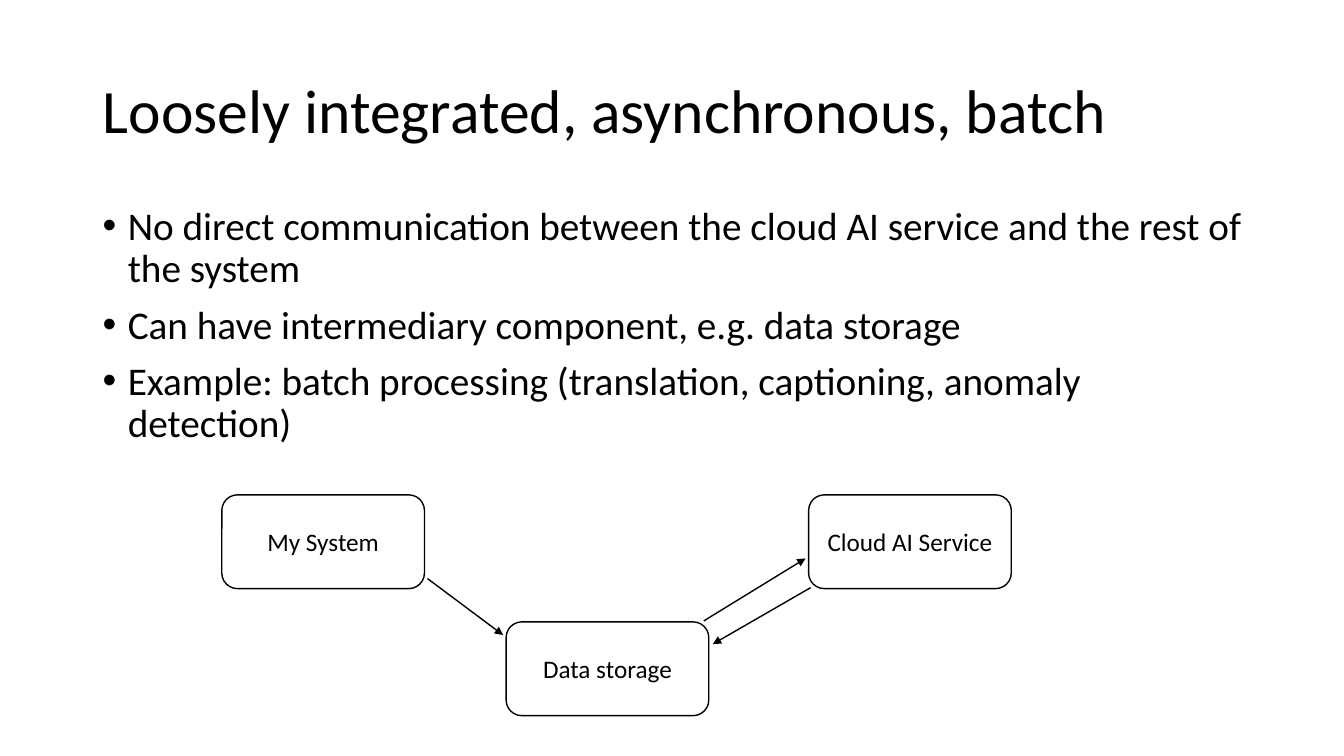
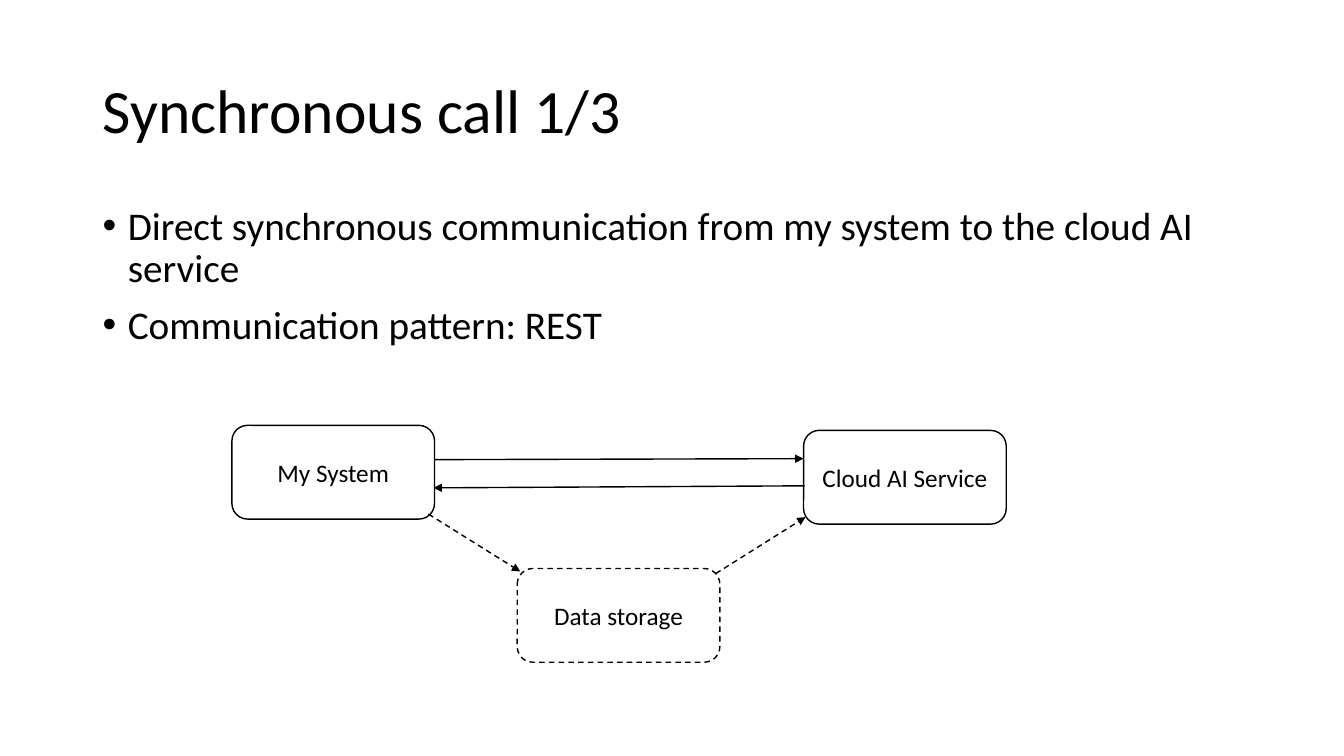
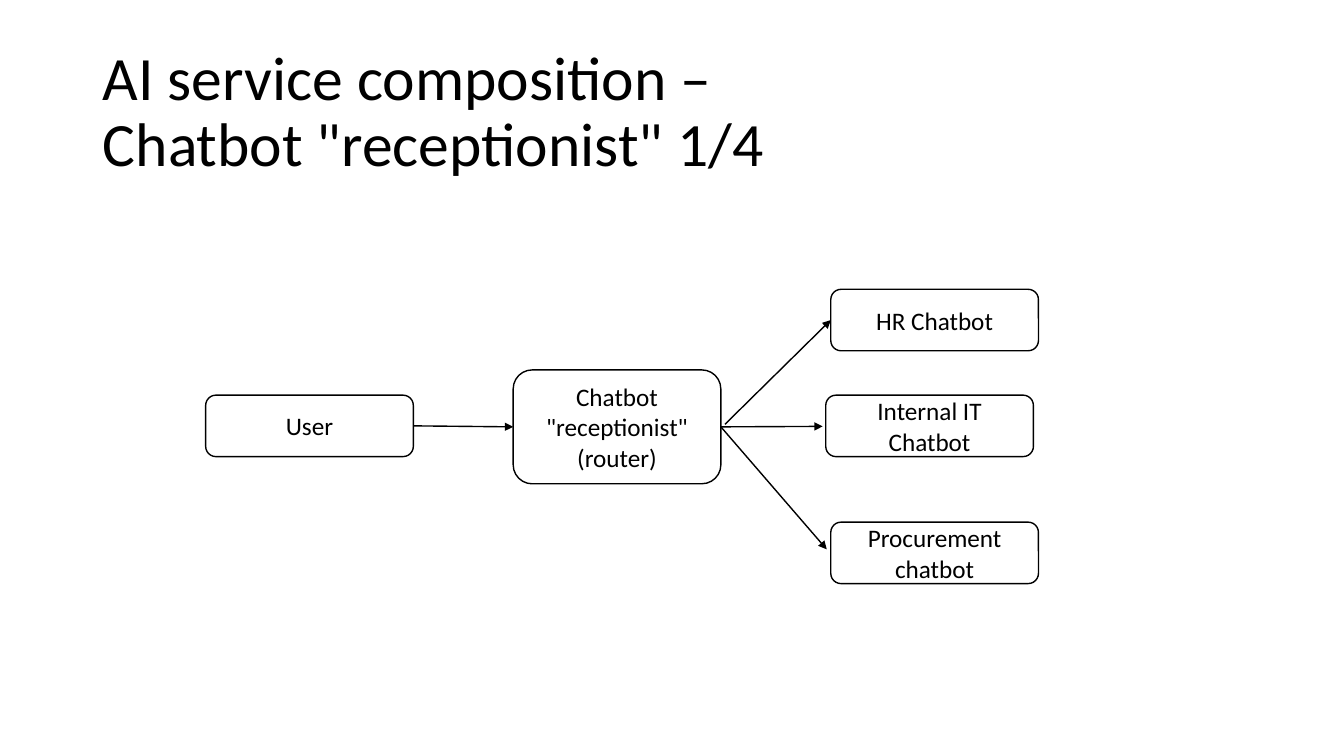
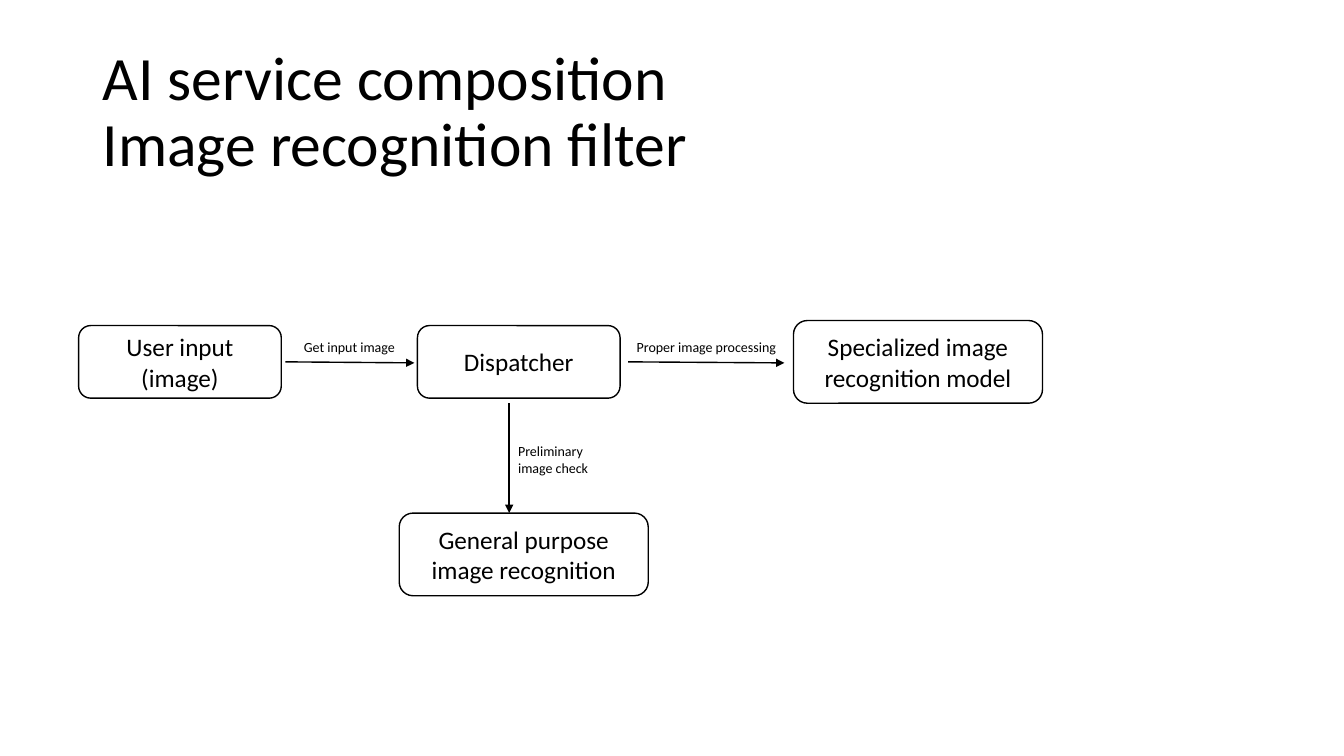
"""Build four slides on ways to integrate and compose cloud AI services."""
from lxml import etree
from pptx import Presentation
from pptx.dml.color import RGBColor
from pptx.enum.dml import MSO_LINE
from pptx.enum.shapes import MSO_CONNECTOR, MSO_SHAPE
from pptx.enum.text import MSO_ANCHOR, MSO_AUTO_SIZE, PP_ALIGN
from pptx.oxml.ns import qn
from pptx.util import Inches, Pt

BLACK = RGBColor(0x00, 0x00, 0x00)
WHITE = RGBColor(0xFF, 0xFF, 0xFF)
FONT = "Calibri"
ROUNDED = MSO_SHAPE.ROUNDED_RECTANGLE
STRAIGHT = MSO_CONNECTOR.STRAIGHT
DASH = MSO_LINE.DASH
MIDDLE, TOP = MSO_ANCHOR.MIDDLE, MSO_ANCHOR.TOP
LEFT, CENTER = PP_ALIGN.LEFT, PP_ALIGN.CENTER
LEFT_SIDE, RIGHT_SIDE = 1, 3
SYSTEM_SIZE = (2.01, 0.93)
CHATBOT_SIZE = (2.06, 0.61)
INPUT_SIZE = (2.01, 0.72)
MODEL_SIZE = (2.47, 0.82)

# Boxes: text, left, top, size, dashed. Arrows: start, end, dashed; an end is
# a point or a box text with a side. Labels: text, left, top, width, height, align.
SLIDES = [
    {
        "title": ["Loosely integrated, asynchronous, batch"],
        "bullets": [
            "No direct communication between the cloud AI service and the rest of the system",
            "Can have intermediary component, e.g. data storage",
            "Example: batch processing (translation, captioning, anomaly detection)",
        ],
        "boxes": [
            ("My System", 2.2, 4.91, SYSTEM_SIZE, False),
            ("Cloud AI Service", 8.02, 4.91, SYSTEM_SIZE, False),
            ("Data storage", 5.02, 6.17, SYSTEM_SIZE, False),
        ],
        "arrows": [
            ((4.24, 5.74), (4.99, 6.3), False),
            ((6.98, 6.16), (7.99, 5.54), False),
            ((8.04, 5.83), (7.07, 6.39), False),
        ],
        "labels": [],
    },
    {
        "title": ["Synchronous call 1/3"],
        "bullets": [
            "Direct synchronous communication from my system to the cloud AI service",
            "Communication pattern: REST",
        ],
        "boxes": [
            ("My System", 2.3, 4.22, SYSTEM_SIZE, False),
            ("Cloud AI Service", 7.97, 4.27, SYSTEM_SIZE, False),
            ("Data storage", 5.13, 5.64, SYSTEM_SIZE, True),
        ],
        "arrows": [
            ((4.25, 5.1), (5.16, 5.67), True),
            ((7.1, 5.69), (7.99, 5.13), True),
            ((4.31, 4.56), (7.97, 4.55), False),
            ((7.98, 4.82), (4.3, 4.84), False),
        ],
        "labels": [],
    },
    {
        "title": ["AI service composition –", "Chatbot \"receptionist\" 1/4"],
        "bullets": [],
        "boxes": [
            ("Internal IT Chatbot", 8.19, 3.92, CHATBOT_SIZE, False),
            ("User", 2.04, 3.92, CHATBOT_SIZE, False),
            ("HR Chatbot", 8.24, 2.87, CHATBOT_SIZE, False),
            ("Chatbot \"receptionist\"\n(router)", 5.09, 3.67, (2.06, 1.13), False),
            ("Procurement chatbot", 8.24, 5.18, CHATBOT_SIZE, False),
        ],
        "arrows": [
            (("User", RIGHT_SIDE), ("Chatbot \"receptionist\"\n(router)", LEFT_SIDE), False),
            (("Chatbot \"receptionist\"\n(router)", RIGHT_SIDE), (8.16, 4.23), False),
            ((7.19, 4.21), ("HR Chatbot", LEFT_SIDE), False),
            (("Chatbot \"receptionist\"\n(router)", RIGHT_SIDE), (8.2, 5.45), False),
        ],
        "labels": [],
    },
    {
        "title": ["AI service composition", "Image recognition filter"],
        "bullets": [],
        "boxes": [
            ("User input (image)", 0.78, 3.23, INPUT_SIZE, False),
            ("Dispatcher", 4.14, 3.23, INPUT_SIZE, False),
            ("General purpose image recognition", 3.96, 5.09, MODEL_SIZE, False),
            ("Specialized image recognition model", 7.87, 3.18, MODEL_SIZE, False),
        ],
        "arrows": [
            ((2.83, 3.59), (4.11, 3.6), False),
            ((5.05, 4), (5.05, 5.09), False),
            ((6.23, 3.59), (7.78, 3.6), False),
        ],
        "labels": [
            ("Get input image", 2.91, 3.31, 1.11, 0.27, CENTER),
            ("Preliminary image check", 5.04, 4.34, 1.11, 0.44, LEFT),
            ("Proper image processing", 6.14, 3.31, 1.73, 0.27, CENTER),
        ],
    },
]


def add_run(p, text, size):
    """Add one run of black text to a paragraph."""
    r = p.add_run()
    r.text = text
    r.font.name = FONT
    r.font.size = Pt(size)
    r.font.color.rgb = BLACK


def set_line(sp, dashed):
    """Give a shape or connector its thin black line."""
    sp.line.color.rgb = BLACK
    sp.line.width = Pt(1)
    if dashed:
        sp.line.dash_style = DASH


prs = Presentation()
prs.slide_width, prs.slide_height = Inches(13.33), Inches(7.5)

for content in SLIDES:
    s = prs.slides.add_slide(prs.slide_layouts[5])

    title = s.shapes.title
    title.left, title.top = Inches(0.92), Inches(0.4)
    title.width, title.height = Inches(11.5), Inches(1.45)
    tf = title.text_frame
    tf.auto_size = MSO_AUTO_SIZE.NONE
    tf.vertical_anchor = MIDDLE
    p = tf.paragraphs[0]
    p.alignment = LEFT
    p.line_spacing = 0.9
    for i, text in enumerate(content["title"]):
        if i:
            p.add_line_break()
        add_run(p, text, 44)

    if content["bullets"]:
        body = s.shapes.add_textbox(Inches(0.92), Inches(2), Inches(11.5), Inches(4.76))
        tf = body.text_frame
        tf.word_wrap = True
        for i, text in enumerate(content["bullets"]):
            p = tf.add_paragraph() if i else tf.paragraphs[0]
            p.line_spacing = 0.9
            p.space_before = Pt(10)
            add_run(p, text, 28)
            pPr = p._p.get_or_add_pPr()
            pPr.set("marL", str(Inches(0.25)))
            pPr.set("indent", str(Inches(-0.25)))
            etree.SubElement(pPr, qn("a:buFont"), typeface="Arial")
            etree.SubElement(pPr, qn("a:buChar"), char="•")

    boxes = {}
    for name, left, top, (width, height), dashed in content["boxes"]:
        sp = s.shapes.add_shape(ROUNDED, Inches(left), Inches(top), Inches(width), Inches(height))
        boxes[name] = sp
        sp.shadow.inherit = False
        sp.fill.solid()
        sp.fill.fore_color.rgb = WHITE
        set_line(sp, dashed)
        tf = sp.text_frame
        tf.word_wrap = True
        tf.vertical_anchor = MIDDLE
        for i, text in enumerate(name.split("\n")):
            p = tf.add_paragraph() if i else tf.paragraphs[0]
            p.alignment = CENTER
            add_run(p, text, 18)

    for start, end, dashed in content["arrows"]:
        arrow = s.shapes.add_connector(STRAIGHT, 0, 0, 0, 0)
        if start[0] in boxes:
            arrow.begin_connect(boxes[start[0]], start[1])
        else:
            arrow.begin_x, arrow.begin_y = Inches(start[0]), Inches(start[1])
        if end[0] in boxes:
            arrow.end_connect(boxes[end[0]], end[1])
        else:
            arrow.end_x, arrow.end_y = Inches(end[0]), Inches(end[1])
        set_line(arrow, dashed)
        etree.SubElement(arrow.line._get_or_add_ln(), qn("a:tailEnd"), type="triangle")
        etree.SubElement(arrow._element.spPr, qn("a:effectLst"))

    for text, left, top, width, height, align in content["labels"]:
        label = s.shapes.add_textbox(Inches(left), Inches(top), Inches(width), Inches(height))
        tf = label.text_frame
        tf.word_wrap = True
        tf.vertical_anchor = TOP
        p = tf.paragraphs[0]
        p.alignment = align
        add_run(p, text, 10)

prs.save("out.pptx")
